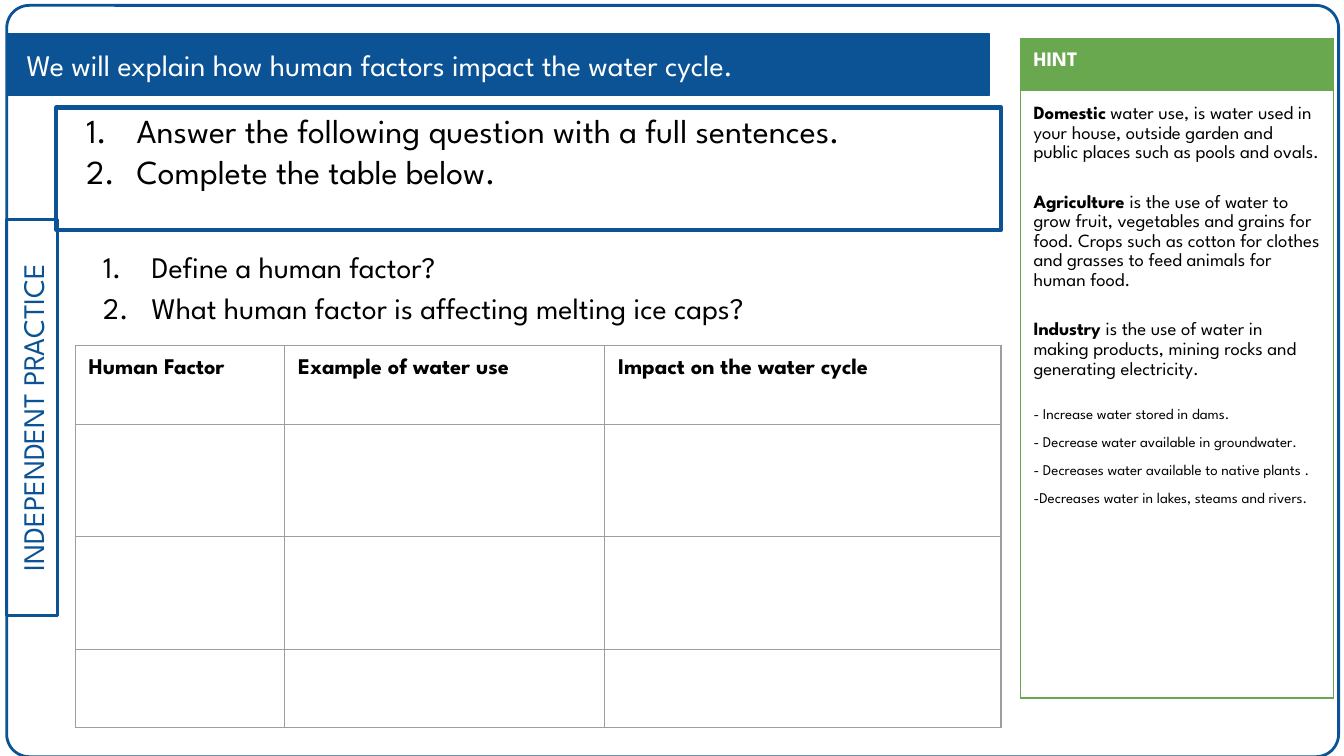
from lxml.etree import SubElement
from pptx import Presentation
from pptx.dml.color import RGBColor
from pptx.enum.shapes import MSO_SHAPE as Preset
from pptx.enum.text import MSO_ANCHOR as Anchor, PP_ALIGN as Align
from pptx.oxml.ns import qn
from pptx.util import Pt

BLUE = RGBColor(0x0B, 0x53, 0x94)
GREEN = RGBColor(0x6A, 0xA8, 0x4F)
GREY = RGBColor(0x9E, 0x9E, 0x9E)
BLACK = RGBColor(0, 0, 0)
WHITE = RGBColor(0xFF, 0xFF, 0xFF)

INSET = 7.2
HEADINGS = ["Human Factor", "Example of water use", "Impact on the water cycle"]
USES = [
    ("Domestic", " water use, is water used in your house, outside garden and "
     "public places such as pools and ovals."),
    ("Agriculture ", "is the use of water to grow fruit, vegetables and grains for "
     "food. Crops such as cotton for clothes and grasses to feed animals for human food."),
    ("Industry ", "is the use of water in making products, mining rocks and "
     "generating electricity."),
]
IMPACTS = [
    "- Increase water stored in dams.",
    "- Decrease water available in groundwater.",
    "- Decreases water available to native plants .",
    "-Decreases water in lakes, steams and rivers.",
]


class LessonSlide:
    font_name = "League Spartan"

    def __init__(self, deck):
        self.slide = deck.slides.add_slide(deck.slide_layouts[6])

    def panel(self, preset, box, line_width, fill=None):
        panel = self.slide.shapes.add_shape(preset, *map(Pt, box))
        panel.shadow.inherit = False
        if fill is None:
            panel.fill.background()
        else:
            panel.fill.solid()
            panel.fill.fore_color.rgb = fill
        panel.line.color.rgb = BLUE
        panel.line.width = Pt(line_width)
        return panel

    def text_frame(self, box):
        return self.slide.shapes.add_textbox(*map(Pt, box)).text_frame

    def set_frame(self, frame, anchor=Anchor.TOP, top=INSET):
        layout = {
            "word_wrap": True, "vertical_anchor": anchor, "margin_top": Pt(top),
            "margin_left": Pt(INSET), "margin_right": Pt(INSET), "margin_bottom": Pt(INSET),
        }
        for name, value in layout.items():
            setattr(frame, name, value)

    def add_text(self, paragraph, text, size, color=BLACK, bold=False):
        run = paragraph.add_run()
        run.text = text
        for name, value in {"name": self.font_name, "size": Pt(size), "bold": bold}.items():
            setattr(run.font, name, value)
        run.font.color.rgb = color

    def paragraph(self, frame, **formats):
        """Use the empty first paragraph, or add one, and apply the formats."""
        first = frame.paragraphs[0]
        paragraph = frame.add_paragraph() if first.runs else first
        for name, value in formats.items():
            setattr(paragraph, name, value)
        return paragraph

    def numbered_list(self, frame, items, size, hanging):
        for item in items:
            paragraph = self.paragraph(frame, alignment=Align.LEFT, line_spacing=Pt(22))
            properties = paragraph._p.get_or_add_pPr()
            properties.set("marL", str(Pt(36)))
            properties.set("indent", str(-Pt(hanging)))
            bullet_color = SubElement(properties, qn("a:buClr"))
            SubElement(bullet_color, qn("a:srgbClr"), val=str(BLACK))
            SubElement(properties, qn("a:buAutoNum"), type="arabicPeriod")
            self.add_text(paragraph, item, size)

    def table(self, left, top, widths, heights, border):
        box = map(Pt, (left, top, sum(widths), sum(heights)))
        table = self.slide.shapes.add_table(len(heights), len(widths), *box).table
        table.first_row = table.horz_banding = False
        for column, width in zip(table.columns, widths):
            column.width = Pt(width)
        for row, height in zip(table.rows, heights):
            row.height = Pt(height)
        for cell in table.iter_cells():
            for side in ("margin_left", "margin_top", "margin_right", "margin_bottom"):
                setattr(cell, side, Pt(INSET))
            properties = cell._tc.get_or_add_tcPr()
            for edge in ("a:lnL", "a:lnR", "a:lnT", "a:lnB"):
                line = SubElement(properties, qn(edge), w=str(Pt(0.75)))
                SubElement(SubElement(line, qn("a:solidFill")), qn("a:srgbClr"), val=str(border))
            cell.fill.background()
        return table


def main():
    deck = Presentation()
    deck.slide_width, deck.slide_height = Pt(720), Pt(405)
    lesson = LessonSlide(deck)

    border = lesson.panel(Preset.ROUNDED_RECTANGLE, (3.6, 2.9, 713.5, 402.5), 1.5)
    border.adjustments[0] = 0.03

    stage = lesson.panel(Preset.RECTANGLE, (-89, 210, 212.4, 27.4), 1.5)
    stage.rotation = 270
    lesson.set_frame(stage.text_frame, Anchor.MIDDLE)
    stage_label = lesson.paragraph(stage.text_frame, alignment=Align.CENTER)
    lesson.add_text(stage_label, "INDEPENDENT PRACTICE", 16, BLUE)

    lesson.panel(Preset.RECTANGLE, (3.6, 18, 526.3, 33.3), 0.75, BLUE)
    goal = lesson.text_frame((7.2, 20.9, 561.6, 27.4))
    lesson.set_frame(goal, Anchor.MIDDLE)
    lesson.add_text(lesson.paragraph(goal),
                    "We will explain how human factors impact the water cycle.", 16, WHITE)

    questions = lesson.text_frame((38.2, 123.1, 487.4, 79.2))
    lesson.set_frame(questions)
    lesson.numbered_list(questions, ["Define a human factor?",
                                     "What human factor is affecting melting ice caps?"], 16, 26)

    tasks = lesson.panel(Preset.RECTANGLE, (30.2, 57.6, 506.2, 65.5), 2.25).text_frame
    lesson.set_frame(tasks, top=1)
    lesson.numbered_list(tasks, ["Answer the following question with a full sentences.",
                                 "Complete the table below."], 18, 27)

    factors = lesson.table(40.3, 185.3, (112.2, 171.4, 212.4), (42, 60.3, 60.3, 42), GREY)
    for column, heading in enumerate(HEADINGS):
        frame = factors.cell(0, column).text_frame
        lesson.add_text(lesson.paragraph(frame), heading, 12, bold=True)

    hints = lesson.table(546.5, 20.9, (168,), (26.6, 325.4), GREEN)
    title, body = hints.cell(0, 0), hints.cell(1, 0).text_frame
    title.fill.solid()
    title.fill.fore_color.rgb = GREEN
    lesson.add_text(lesson.paragraph(title.text_frame), "HINT", 11, WHITE, bold=True)
    for index, (use, meaning) in enumerate(USES):
        entry = lesson.paragraph(body, line_spacing=1.15, space_before=Pt(16 if index else 0))
        lesson.add_text(entry, use, 10, bold=True)
        lesson.add_text(entry, meaning, 10)
    for index, impact in enumerate(IMPACTS):
        entry = lesson.paragraph(body, space_before=Pt(7.5 if index else 16))
        lesson.add_text(entry, impact, 8)

    deck.save("out.pptx")


if __name__ == "__main__":
    main()
